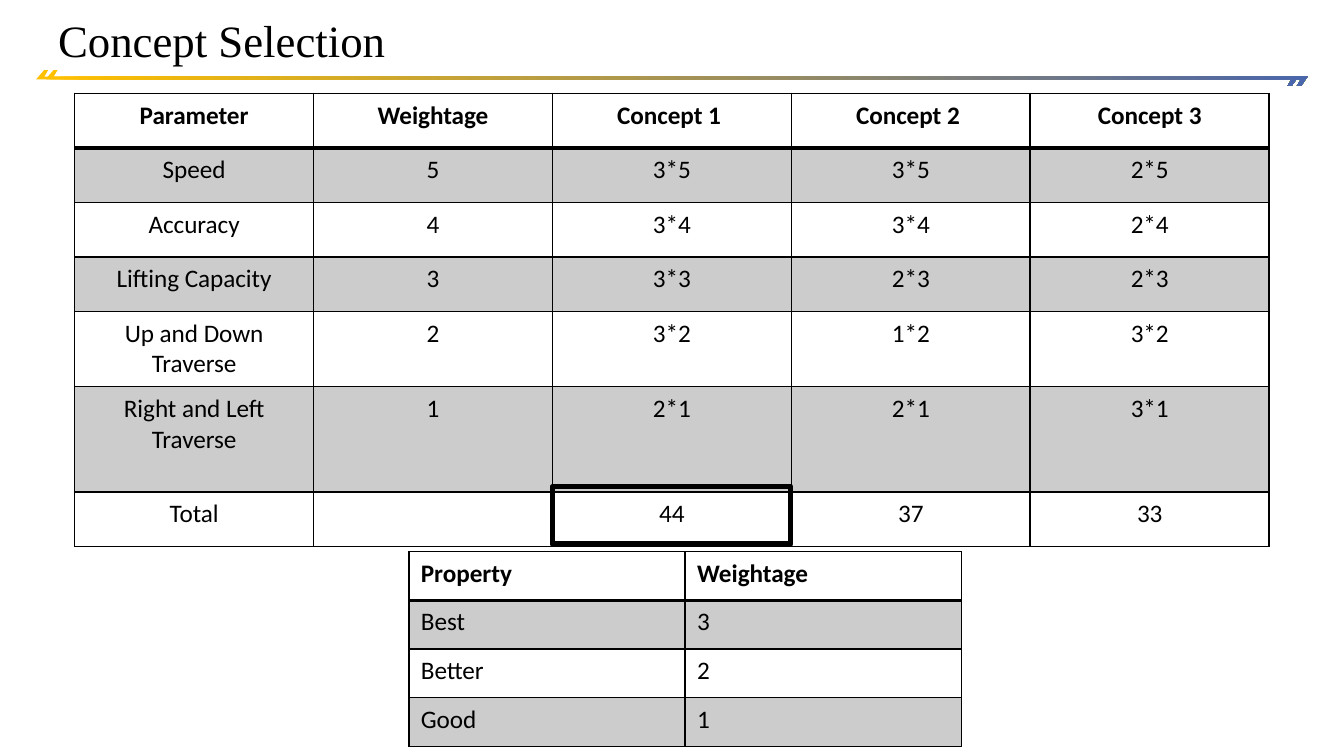
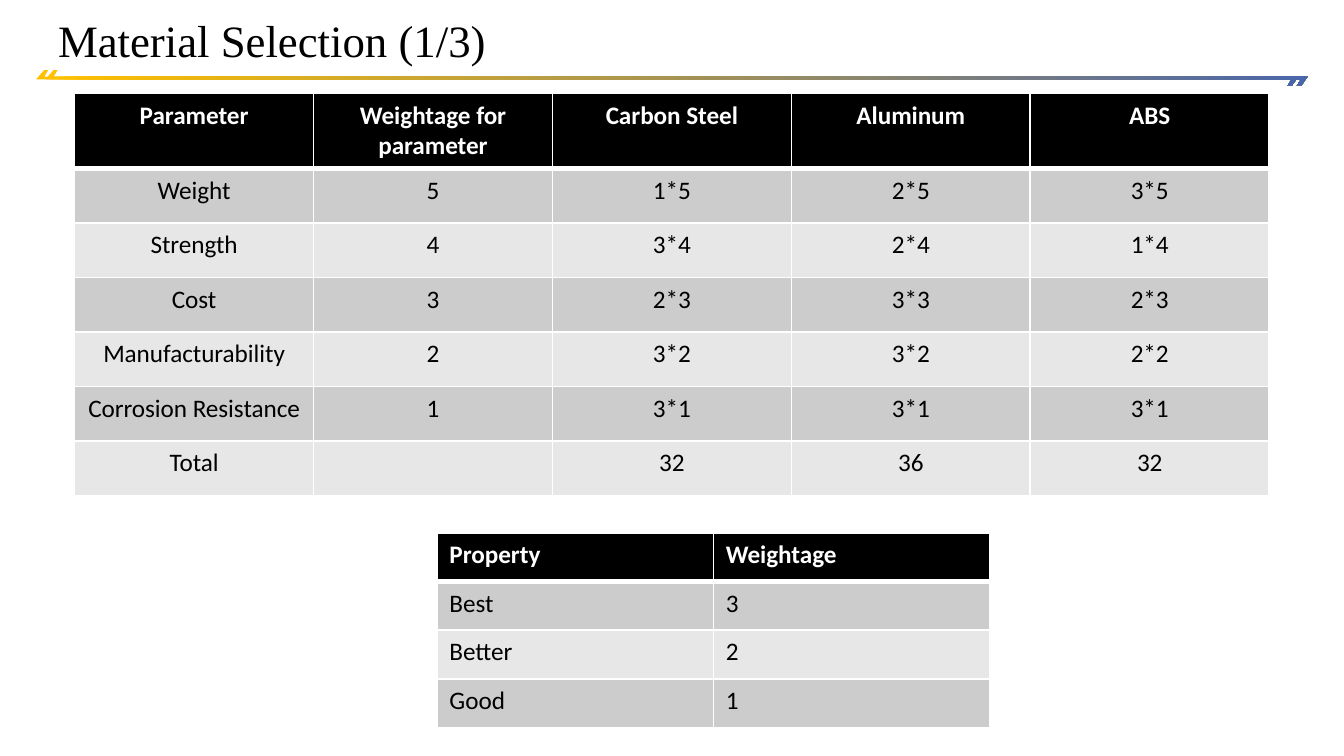
from lxml import etree
from pptx import Presentation
from pptx import util as u
from pptx.dml.color import RGBColor
from pptx.enum import shapes, text
from pptx.oxml.ns import qn

Pt = u.Pt
COLORS = {"black": "000000", "white": "FFFFFF", "gold": "FFC000",
          "blue": "4A66AC", "gray": "CCCCCC", "light": "E7E7E7"}
GRID = {"rule": "black", "head_rule": 2, "head_fill": None, "head_text": "black",
        "bands": (("black", 20), None)}
SOLID = {"rule": "white", "head_rule": 3, "head_fill": ("black", 100), "head_text": "white",
         "bands": (("gray", 100), ("light", 100))}
BAND = [(23.8, 37.4), (25.9, 37.4), (23.8, 41), (695.5, 41), (691.9, 46.1),
        (689.8, 46.1), (691.9, 42.5), (19.4, 42.5)]
BAND_SHIFT = 5
ROW, TALL_ROW, SCALE_ROW = 29.25, 40.25, 26.1
SCORE_COLS, SCALE_COLS = [128] * 5, [148] * 2

CONCEPTS = [
    ["Parameter", "Weightage", "Concept 1 ", "Concept 2 ", "Concept 3"],
    ["Speed", "5", "3*5", "3*5", "2*5"],
    ["Accuracy", "4", "3*4", "3*4", "2*4"],
    ["Lifting Capacity", "3", "3*3", "2*3", "2*3"],
    ["Up and Down Traverse", "2", "3*2", "1*2", "3*2"],
    ["Right and Left Traverse", "1", "2*1", "2*1", "3*1"],
    ["Total", "", "44", "37", "33"],
]
MATERIALS = [
    ["Parameter", "Weightage for parameter", "Carbon Steel", "Aluminum", "ABS"],
    ["Weight", "5", "1*5", "2*5", "3*5"],
    ["Strength", "4", "3*4", "2*4", "1*4"],
    ["Cost", "3", "2*3", "3*3", "2*3"],
    ["Manufacturability", "2", "3*2", "3*2", "2*2"],
    ["Corrosion Resistance", "1", "3*1", "3*1", "3*1"],
    ["Total", "", "32", "36", "32"],
]
SCALE = [["Property", "Weightage"], ["Best", "3"], ["Better", "2"], ["Good", "1"]]


def rgb(name):
    return RGBColor.from_string(COLORS[name])


def set_attrs(obj, **values):
    for name, value in values.items():
        setattr(obj, name, value)


class Deck:
    def __init__(self):
        self.prs = Presentation()
        set_attrs(self.prs, slide_width=Pt(720), slide_height=Pt(405))
        self.s = None

    def slide(self, title):
        """Start a slide with the shared band and title."""
        self.s = self.prs.slides.add_slide(self.prs.slide_layouts[6])
        for shift in (0, BAND_SHIFT):
            self.band(shift)
        self.title(title)

    def band(self, shift):
        pts = [(Pt(x + shift), Pt(y)) for x, y in BAND]
        builder = self.s.shapes.build_freeform(*pts[0])
        builder.add_line_segments(pts[1:], close=True)
        sp = builder.convert_to_shape()
        sp.shadow.inherit = False
        sp.line.fill.background()
        sp.fill.gradient()
        sp.fill.gradient_angle = 0
        for stop, name, pos in zip(sp.fill.gradient_stops, ("gold", "blue"), (0, 1)):
            stop.position = pos
            stop.color.rgb = rgb(name)

    def title(self, words):
        sp = self.s.shapes.add_textbox(Pt(24), Pt(0), Pt(672), Pt(39.5))
        tf = sp.text_frame
        set_attrs(tf, word_wrap=True, vertical_anchor=text.MSO_ANCHOR.BOTTOM)
        p = tf.paragraphs[0]
        p.line_spacing = 0.9
        self.run(p, words, "black", size=Pt(24), name="Times New Roman")

    def run(self, p, words, color, **font):
        r = p.add_run()
        r.text = words
        set_attrs(r.font, **font)
        r.font.color.rgb = rgb(color)

    def table(self, x, y, cols, heights, rows, look, align):
        frame = self.s.shapes.add_table(len(rows), len(cols), Pt(x), Pt(y),
                                        Pt(sum(cols)), Pt(sum(heights)))
        tbl = frame.table
        tbl.horz_banding = False
        for col, width in zip(tbl.columns, cols):
            col.width = Pt(width)
        for i, (row, height, words) in enumerate(zip(tbl.rows, heights, rows)):
            row.height = Pt(height)
            fill = look["bands"][(i - 1) % 2] if i else look["head_fill"]
            color = "black" if i else look["head_text"]
            top = look["head_rule"] if i == 1 else 1
            bottom = look["head_rule"] if i == 0 else 1
            for cell, word in zip(row.cells, words):
                set_attrs(cell, margin_left=Pt(6.5), margin_right=Pt(6.5))
                p = cell.text_frame.paragraphs[0]
                p.alignment = align
                if word:
                    self.run(p, word, color, size=Pt(13.5), name="Calibri", bold=i == 0)
                self.fill_cell(cell, fill)
                self.borders(cell, look["rule"], (1, 1, top, bottom))

    def fill_cell(self, cell, fill):
        """Fill with (colour, percent opacity), or leave clear for None."""
        if fill is None:
            cell.fill.background()
            return
        name, opacity = fill
        cell.fill.solid()
        cell.fill.fore_color.rgb = rgb(name)
        if opacity < 100:
            clr = cell._tc.tcPr.find(".//" + qn("a:srgbClr"))
            etree.SubElement(clr, qn("a:alpha"), val=str(opacity * 1000))

    def borders(self, cell, color, widths):
        """Draw the left, right, top and bottom edges."""
        tc_pr = cell._tc.get_or_add_tcPr()
        for i, (side, width) in enumerate(zip("LRTB", widths)):
            ln = etree.Element(qn("a:ln" + side), w=str(Pt(width)))
            fill = etree.SubElement(ln, qn("a:solidFill"))
            etree.SubElement(fill, qn("a:srgbClr"), val=COLORS[color])
            tc_pr.insert(i, ln)

    def score_table(self, heights, rows, look):
        self.table(40, 50, SCORE_COLS, heights, rows, look, text.PP_ALIGN.CENTER)

    def scale_table(self, x, y, look):
        self.table(x, y, SCALE_COLS, [SCALE_ROW] * len(SCALE), SCALE, look,
                   text.PP_ALIGN.LEFT)

    def highlight(self, x, y, w, h):
        sp = self.s.shapes.add_shape(shapes.MSO_SHAPE.RECTANGLE, Pt(x), Pt(y), Pt(w), Pt(h))
        sp.shadow.inherit = False
        sp.fill.background()
        sp.line.color.rgb = rgb("black")
        sp.line.width = Pt(3)


def main():
    deck = Deck()

    deck.slide("Concept Selection")
    deck.score_table([ROW] * 4 + [TALL_ROW, 56.5, ROW], CONCEPTS, GRID)
    deck.scale_table(219, 295.5, GRID)
    deck.highlight(296, 260.6, 127.5, 31)

    deck.slide("Material Selection (1/3)")
    deck.score_table([TALL_ROW] + [ROW] * 6, MATERIALS, SOLID)
    deck.scale_table(234.3, 285.5, SOLID)

    deck.prs.save("out.pptx")


if __name__ == "__main__":
    main()
